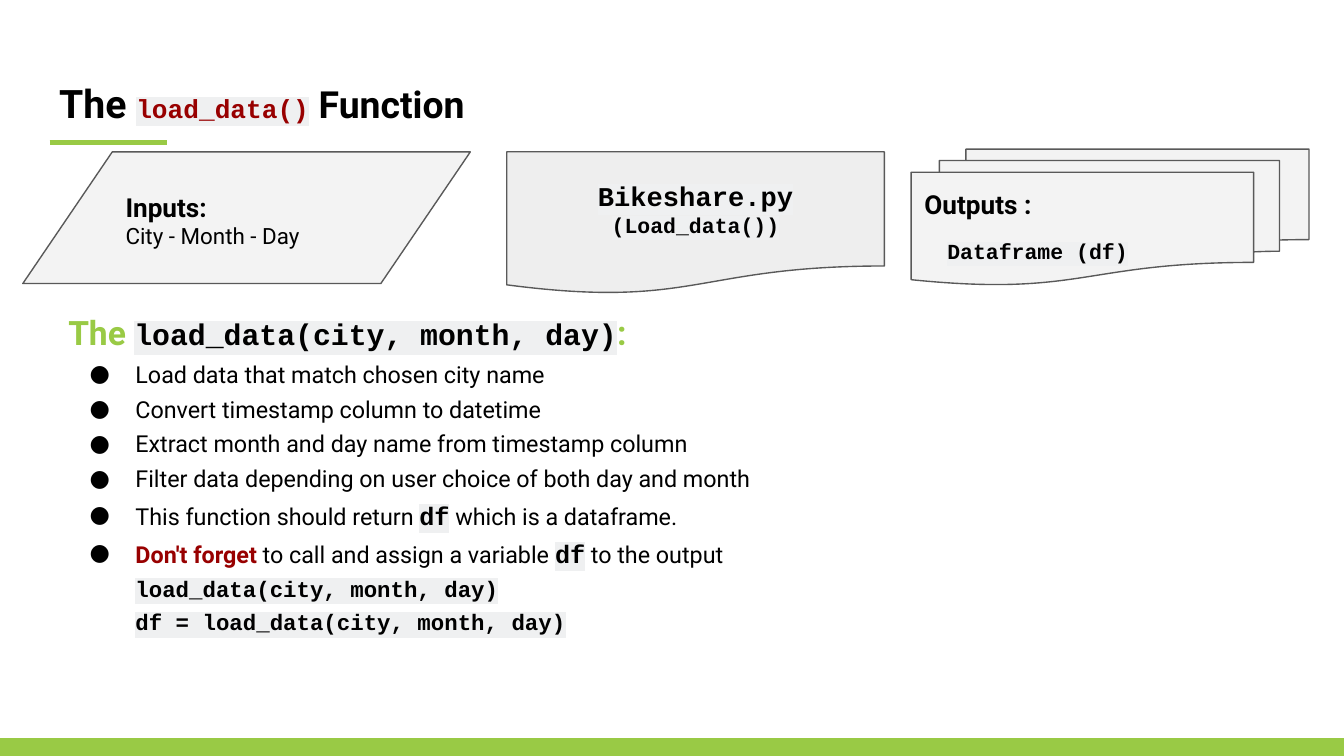
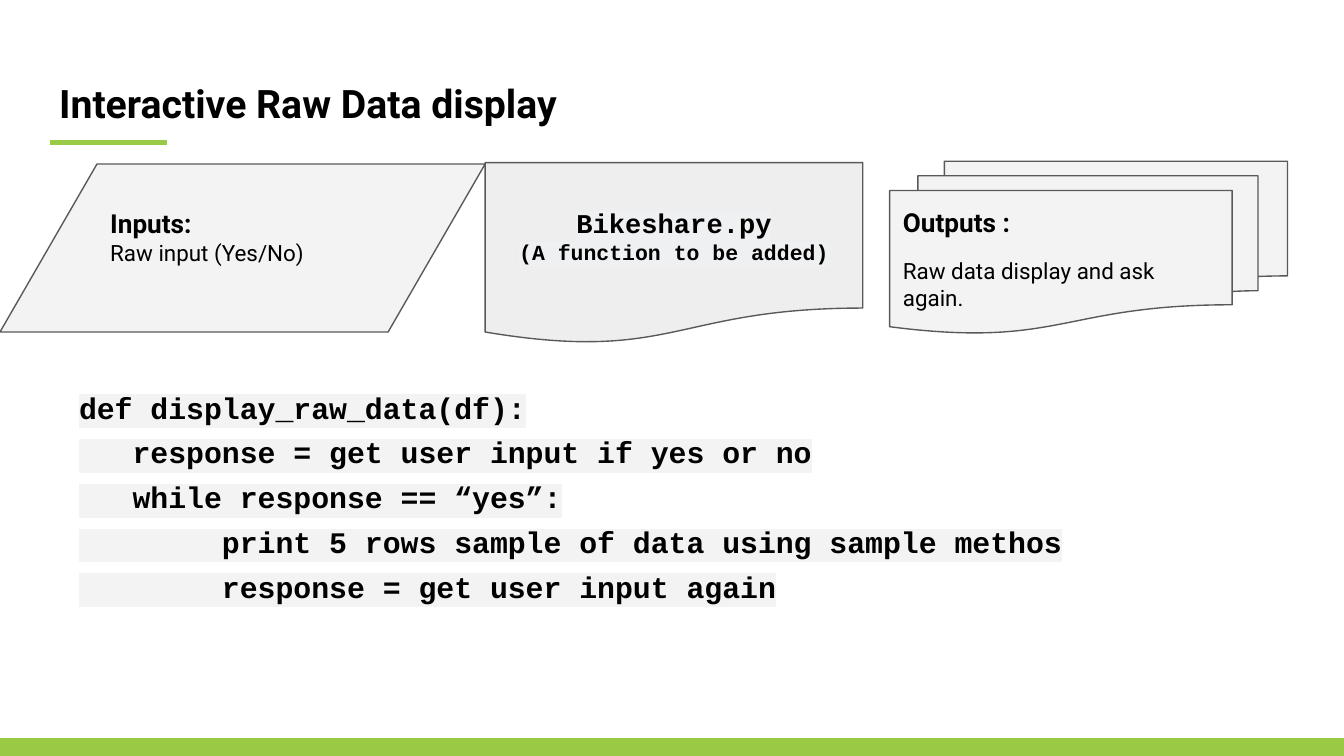
import dataclasses

import lxml.etree
import pptx
import pptx.dml.color
import pptx.enum.shapes
import pptx.enum.text
import pptx.oxml.ns
import pptx.util

SHAPE = pptx.enum.shapes.MSO_SHAPE
ALIGN = pptx.enum.text.PP_ALIGN
ANCHOR = pptx.enum.text.MSO_ANCHOR
RGB = pptx.dml.color.RGBColor.from_string
qn = pptx.oxml.ns.qn


@dataclasses.dataclass(frozen=True)
class Style:
    size: float
    font: str = "Roboto"
    color: str = "000000"
    bold: bool = True
    highlight: str = ""


def code(size, color="000000", highlight="EFF0F1"):
    return Style(size, "Courier New", color, True, highlight)


class Theme:
    """Colours and type sizes."""
    green, red, black = "99CA45", "980000", "000000"
    box, document, outline = "F3F3F3", "EEEEEE", "595959"

    title = Style(21)
    title_code = code(14, red)
    title_tail = Style(20)
    label = Style(14)
    detail = Style(12, bold=False)
    file_name = code(14.5)
    small_code = code(11.5)
    heading = Style(18, color=green)
    heading_code = code(16)
    body = Style(12.5, bold=False)
    warning = Style(12.5, color=red)
    variable = code(13.5)
    call = code(12)
    listing = code(16, highlight=box)


@dataclasses.dataclass
class Para:
    runs: list
    align: object = None
    spacing: float = None
    before: float = 0
    left: float = 0
    bullet: bool = False


class Deck:
    """Places elements on a grid of 100 columns, with square cells."""
    columns, rows = 100, 56.25
    inset = 1
    hanging = 3.4

    def __init__(self):
        self.prs = pptx.Presentation()
        self.cell = pptx.util.Inches(0.1)
        self.prs.slide_width = self.grid(self.columns)
        self.prs.slide_height = self.grid(self.rows)
        self.s = None

    def grid(self, n):
        return pptx.util.Emu(round(n * self.cell))

    def place(self, *lengths):
        return [self.grid(n) for n in lengths]

    # Text
    def run(self, p, text, style):
        r = p.add_run()
        r.text = text
        font = r.font
        font.size = pptx.util.Pt(style.size)
        font.bold = style.bold
        font.color.rgb = RGB(style.color)
        font.name = style.font
        if style.highlight:
            mark = lxml.etree.Element(qn("a:highlight"))
            lxml.etree.SubElement(mark, qn("a:srgbClr"), val=style.highlight)
            r._r.rPr.find(qn("a:solidFill")).addnext(mark)

    def bullet(self, pPr):
        pPr.set("indent", str(-self.grid(self.hanging)))
        color = lxml.etree.SubElement(pPr, qn("a:buClr"))
        lxml.etree.SubElement(color, qn("a:srgbClr"), val=Theme.black)
        lxml.etree.SubElement(pPr, qn("a:buFont"), typeface="Roboto")
        lxml.etree.SubElement(pPr, qn("a:buChar"), char="●")

    def fill_text(self, tf, paras, anchor=ANCHOR.TOP, bottom=inset):
        tf.word_wrap = True
        tf.auto_size = pptx.enum.text.MSO_AUTO_SIZE.NONE
        tf.vertical_anchor = anchor
        tf.margin_left = tf.margin_right = tf.margin_top = self.grid(self.inset)
        tf.margin_bottom = self.grid(bottom)
        for i, para in enumerate(paras):
            p = tf.add_paragraph() if i else tf.paragraphs[0]
            p.alignment = para.align or ALIGN.LEFT
            if para.spacing:
                p.line_spacing = para.spacing
            if para.before:
                p.space_before = pptx.util.Pt(para.before)
            pPr = p._p.get_or_add_pPr()
            if para.left:
                pPr.set("marL", str(self.grid(para.left)))
            if para.bullet:
                self.bullet(pPr)
            for text, style in para.runs:
                self.run(p, text, style)

    def text(self, x, y, w, h, paras):
        sp = self.s.shapes.add_textbox(*self.place(x, y, w, h))
        self.fill_text(sp.text_frame, paras)

    # Shapes and lines
    def shape(self, kind, x, y, w, h, fill, line, paras=(), bottom=inset):
        sp = self.s.shapes.add_shape(kind, *self.place(x, y, w, h))
        sp.shadow.inherit = False
        sp.fill.solid()
        sp.fill.fore_color.rgb = RGB(fill)
        sp.line.color.rgb = RGB(line)
        sp.line.width = pptx.util.Pt(0.75)
        self.fill_text(sp.text_frame, paras, ANCHOR.MIDDLE, bottom)

    def rule(self, x1, x2, y):
        line = self.s.shapes.add_connector(
            pptx.enum.shapes.MSO_CONNECTOR.STRAIGHT, *self.place(x1, y, x2, y))
        line.line.color.rgb = RGB(Theme.green)
        line.line.width = pptx.util.Pt(3)
        lxml.etree.SubElement(line._element.spPr, qn("a:effectLst"))

    # Shared frame: title, underline and bottom band
    def slide(self, title_runs):
        self.s = self.prs.slides.add_slide(self.prs.slide_layouts[5])
        sp = self.s.shapes.title
        sp.left, sp.top, sp.width, sp.height = self.place(3.4, 4.9, 93.2, 6.3)
        self.fill_text(sp.text_frame, [Para(title_runs)])
        self.rule(3.7, 12.4, 10.6)
        self.shape(SHAPE.RECTANGLE, 0, 55, self.columns, 1.2,
                   Theme.green, Theme.green)

    # Flow steps
    def outputs(self, x, y, h, result):
        self.shape(SHAPE.FLOWCHART_MULTIDOCUMENT, x, y, 29.6, h,
                   Theme.box, Theme.outline,
                   [Para([("Outputs :", Theme.label)]), result])

    def inputs(self, x, y, w, h, detail, bottom=inset):
        self.shape(SHAPE.FLOWCHART_DATA, x, y, w, h, Theme.box, Theme.outline,
                   [Para([("Inputs:", Theme.label)], spacing=1.15),
                    Para([(detail, Theme.detail)])], bottom)

    def program(self, x, y, h, function):
        self.shape(SHAPE.FLOWCHART_DOCUMENT, x, y, 28.1, h,
                   Theme.document, Theme.outline,
                   [Para([("Bikeshare.py", Theme.file_name)], ALIGN.CENTER),
                    Para([(function, Theme.small_code)], ALIGN.CENTER)])


def load_data_slide(deck):
    t = Theme
    deck.slide([("The ", t.title), ("load_data()", t.title_code),
                (" Function", t.title_tail)])
    deck.outputs(67.8, 11.1, 10.1,
                 Para([("Dataframe (df)", t.small_code)], before=10, left=1.7))
    deck.inputs(1.7, 11.3, 33.3, 9.8, "City - Month - Day")
    deck.program(37.7, 11.3, 10.6, "(Load_data())")

    # Steps of the function
    heading = [("The ", t.heading),
               ("load_data(city, month, day)", t.heading_code),
               (":", t.heading)]
    steps = [[(text, t.body)] for text in (
        "Load data that match chosen city name",
        "Convert timestamp column to datetime",
        "Extract month and day name from timestamp column",
        "Filter data depending on user choice of both day and month")]
    steps += [
        [("This function should return ", t.body), ("df", t.variable),
         (" which is a dataframe.", t.body)],
        [("Don't forget", t.warning),
         (" to call and assign a variable ", t.body), ("df", t.variable),
         (" to the output", t.body)]]
    calls = ["load_data(city, month, day)", "df = load_data(city, month, day)"]
    deck.text(4.1, 21.5, 91.7, 26.3, [
        Para(heading, spacing=1.25),
        *[Para(runs, spacing=1.25, left=5, bullet=True) for runs in steps],
        *[Para([(c, t.call)], spacing=1.25, left=5) for c in calls]])


def raw_data_slide(deck):
    t = Theme
    deck.slide([("Interactive Raw Data display", t.title)])
    deck.outputs(66.2, 12, 12.8,
                 Para([("Raw data display and ask again.", t.detail)],
                      before=10))
    deck.inputs(0, 12.2, 36.1, 12.5, "Raw input (Yes/No)", bottom=3)
    deck.program(36.1, 12.1, 13.5, "(A function to be added)")

    # Pseudocode
    lines = ["def display_raw_data(df):",
             "   response = get user input if yes or no",
             "   while response == “yes”:",
             "        print 5 rows sample of data using sample methos",
             "        response = get user input again"]
    deck.text(4.9, 27.3, 91.7, 16.5,
              [Para([(line, t.listing)], spacing=1.25) for line in lines])


def main():
    deck = Deck()
    load_data_slide(deck)
    raw_data_slide(deck)
    deck.prs.save("out.pptx")


if __name__ == "__main__":
    main()
